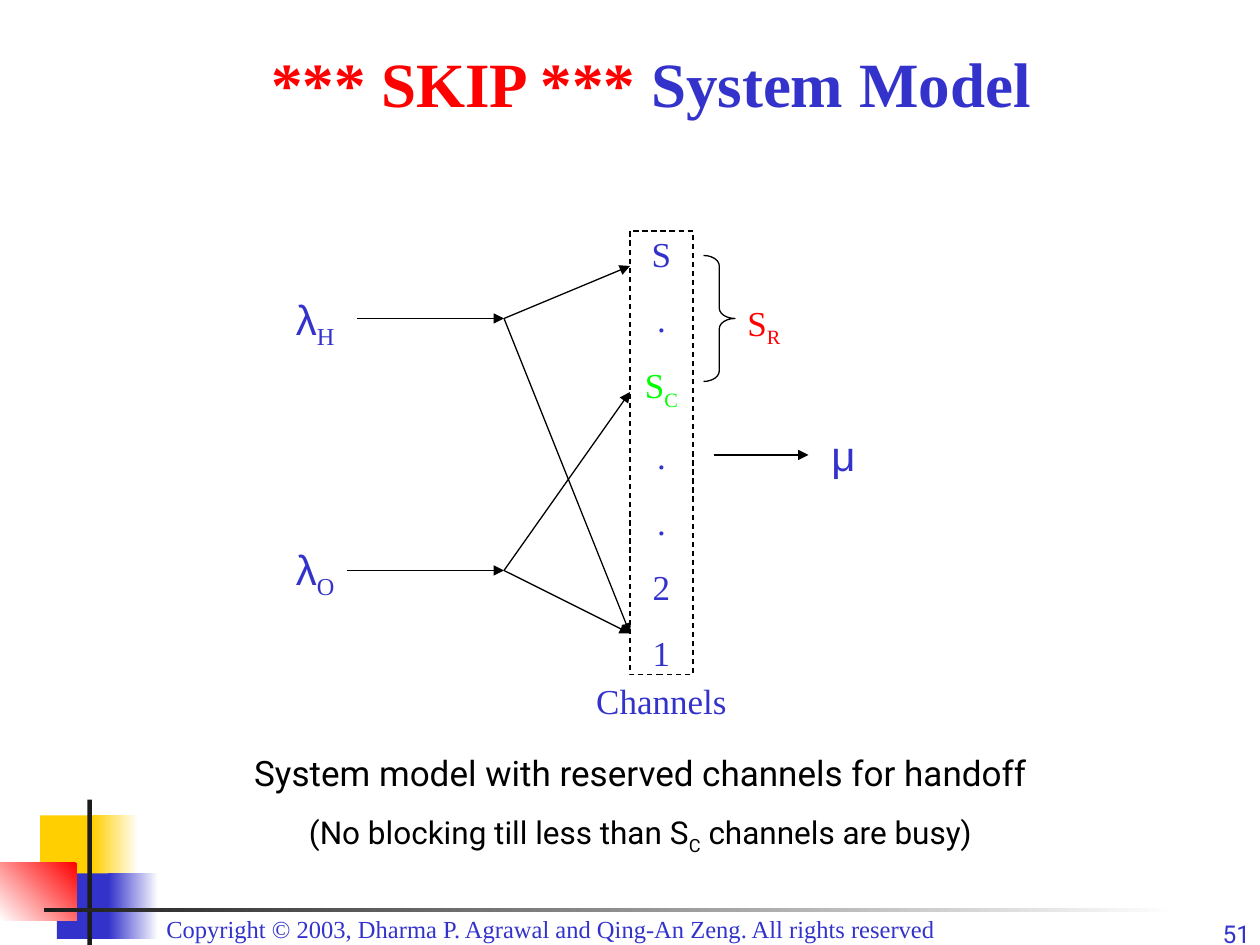
from dataclasses import dataclass
from typing import Any

from lxml.etree import SubElement
from pptx import Presentation
from pptx.dml.color import RGBColor
from pptx.enum.dml import MSO_LINE
from pptx.enum.shapes import MSO_CONNECTOR as CONN, MSO_SHAPE as SHAPE
from pptx.enum.text import MSO_ANCHOR as ANCHOR, PP_ALIGN as ALIGN
from pptx.oxml.ns import qn
from pptx.util import Pt

WHITE = RGBColor(0xFF, 0xFF, 0xFF)
BLACK = RGBColor(0x00, 0x00, 0x00)
CHARCOAL = RGBColor(0x1C, 0x1C, 0x1C)
BLUE = RGBColor(0x33, 0x33, 0xCC)
YELLOW = RGBColor(0xFF, 0xCF, 0x01)
RED = RGBColor(0xFF, 0x00, 0x00)
GREEN = RGBColor(0x00, 0xFF, 0x00)

SERIF, SANS, GREEK = "Times New Roman", "Roboto", "Arial"


@dataclass
class Run:
    text: str
    size: float = 20
    color: RGBColor = BLUE
    font: str = SERIF
    bold: bool = False
    sub: bool = False


@dataclass
class Deck:
    slide: Any
    line_width: float = 0.75
    line_color: RGBColor = BLACK

    def shape(self, kind, x, y, w, h):
        sp = self.slide.shapes.add_shape(kind, Pt(x), Pt(y), Pt(w), Pt(h))
        sp.shadow.inherit = False
        return sp

    def block(self, x, y, w, h, color):
        sp = self.shape(SHAPE.RECTANGLE, x, y, w, h)
        sp.fill.solid()
        sp.fill.fore_color.rgb = color
        sp.line.fill.background()

    def fade(self, x, y, w, h, start, end, angle=180):
        sp = self.shape(SHAPE.RECTANGLE, x, y, w, h)
        sp.fill.gradient()
        sp.fill.gradient_angle = angle
        for stop, color in zip(sp.fill.gradient_stops, (start, end)):
            stop.color.rgb = color
        sp.line.fill.background()

    def outline(self, kind, x, y, w, h):
        sp = self.shape(kind, x, y, w, h)
        sp.fill.background()
        sp.line.color.rgb = self.line_color
        sp.line.width = Pt(self.line_width)
        return sp

    def arrow(self, start, end):
        points = [Pt(v) for v in (*start, *end)]
        cn = self.slide.shapes.add_connector(CONN.STRAIGHT, *points)
        cn.line.color.rgb = self.line_color
        cn.line.width = Pt(self.line_width)
        SubElement(cn.line._get_or_add_ln(), qn("a:tailEnd"), type="triangle")
        SubElement(cn._element.spPr, qn("a:effectLst"))

    def set_text(self, sp, paragraphs, align=ALIGN.LEFT, anchor=ANCHOR.TOP, gap=0):
        tf = sp.text_frame
        tf.word_wrap = True
        tf.vertical_anchor = anchor
        for i, runs in enumerate(paragraphs):
            p = tf.add_paragraph() if i else tf.paragraphs[0]
            p.alignment = align
            p.space_before = Pt(gap if i else 0)
            for run in runs:
                r = p.add_run()
                r.text = run.text
                r.font.name = run.font
                r.font.size = Pt(run.size)
                r.font.bold = run.bold
                r.font.color.rgb = run.color
                if run.sub:
                    r._r.get_or_add_rPr().set("baseline", "-25000")

    def text(self, x, y, w, h, *paragraphs, **style):
        sp = self.slide.shapes.add_textbox(Pt(x), Pt(y), Pt(w), Pt(h))
        self.set_text(sp, paragraphs, **style)
        return sp


def add_frame(deck):
    deck.block(23, 466, 34.5, 37.5, YELLOW)
    deck.fade(53, 466, 26, 37.5, WHITE, YELLOW)
    deck.block(32.5, 499, 33, 37.5, BLUE)
    deck.fade(62, 499, 28.5, 37.5, WHITE, BLUE)
    deck.fade(0, 493, 44, 33, RED, WHITE, angle=225)
    deck.block(50, 457, 2.5, 83, CHARCOAL)
    deck.fade(25, 519, 648, 2.4, WHITE, CHARCOAL)
    deck.text(88, 519, 546, 24.5, [Run(
        "Copyright © 2003, Dharma P. Agrawal and Qing-An Zeng. All rights reserved", 14)])
    number = deck.text(664, 525, 57.5, 19.5, [Run("51", 14, font=SANS)], align=ALIGN.RIGHT)
    number.text_frame.margin_top = number.text_frame.margin_bottom = 0


def add_model(deck):
    column = deck.outline(SHAPE.RECTANGLE, 360, 132, 36, 253.5)
    column.line.dash_style = MSO_LINE.DASH
    limit = [Run("S", color=GREEN), Run("C", color=GREEN, sub=True)]
    channels = [[Run("S")], [Run(".")], limit, *([Run(c)] for c in "..21")]
    deck.set_text(column, channels, align=ALIGN.CENTER, anchor=ANCHOR.MIDDLE, gap=13.5)
    deck.text(324, 384.5, 108, 31.5, [Run("Channels")], align=ALIGN.CENTER)

    top, reserved, bottom = 152, 224, 362
    flows = (("H", 204, 182, 164, top), ("O", 198, 326, 307, reserved))
    for name, start, y, label_y, first in flows:
        node = (288, y)
        deck.arrow((start, y), node)
        for target in (first, bottom):
            deck.arrow(node, (360, target))
        deck.text(162, label_y, 42, 40,
                  [Run("λ", 24, font=GREEK), Run(name, 24, sub=True)])

    deck.arrow((408, 260), (462, 260))
    deck.text(468, 242, 36, 36, [Run("μ", 24, font=GREEK)])

    brace = deck.outline(SHAPE.RIGHT_BRACE, 402, 146, 18, 72)
    brace.adjustments[0] = 0.33
    deck.text(420, 168.5, 48, 34.5, [Run("S", color=RED), Run("R", color=RED, sub=True)])


def main():
    prs = Presentation()
    prs.slide_width, prs.slide_height = Pt(720), Pt(540)
    deck = Deck(prs.slides.add_slide(prs.slide_layouts[6]))

    add_frame(deck)
    deck.text(66, 6, 612, 66,
              [Run("*** SKIP *** ", 36, RED, bold=True), Run("System Model", 36, bold=True)],
              align=ALIGN.CENTER, anchor=ANCHOR.BOTTOM)
    add_model(deck)
    deck.text(102, 426, 528, 67,
              [Run("System model with reserved channels for handoff", 20, BLACK, SANS)],
              [Run("(No blocking till less than S", 18, BLACK, SANS),
               Run("C", 18, BLACK, SANS, sub=True),
               Run(" channels are busy)", 18, BLACK, SANS)],
              align=ALIGN.CENTER, gap=11.2)
    prs.save("out.pptx")


if __name__ == "__main__":
    main()
